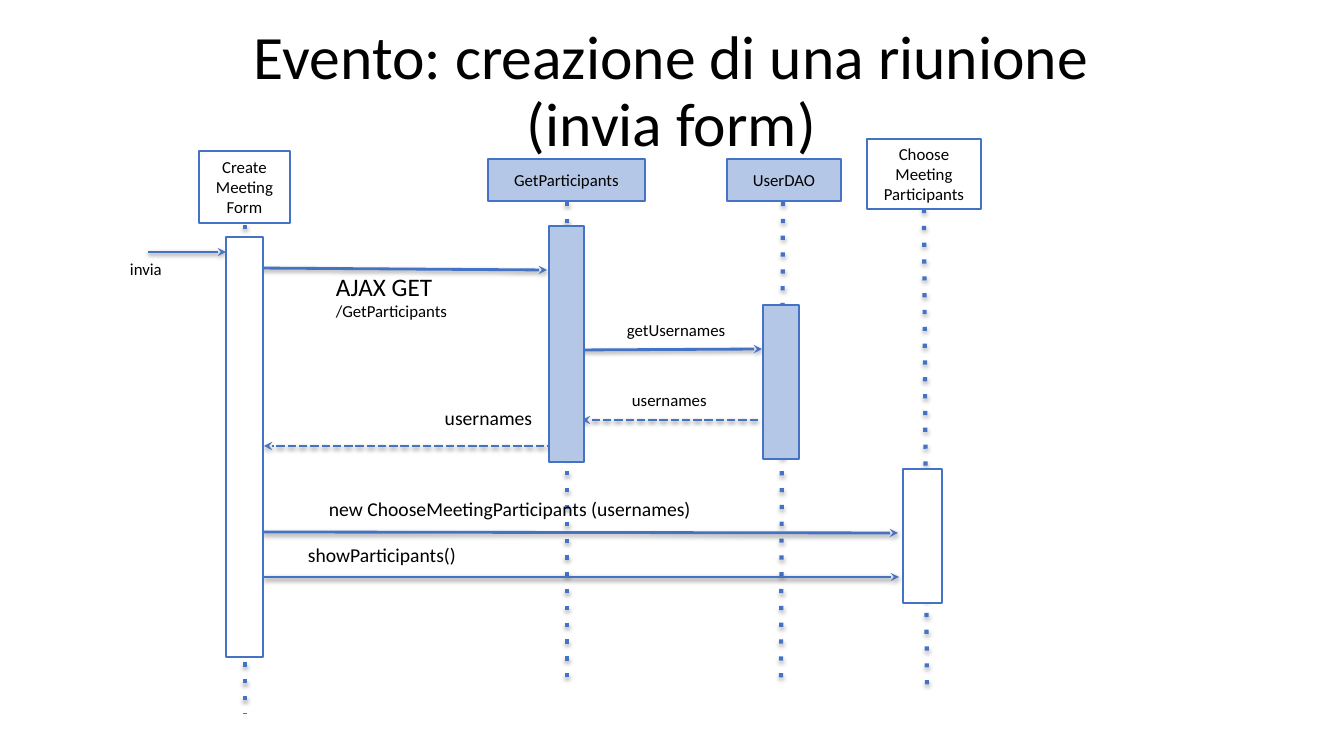
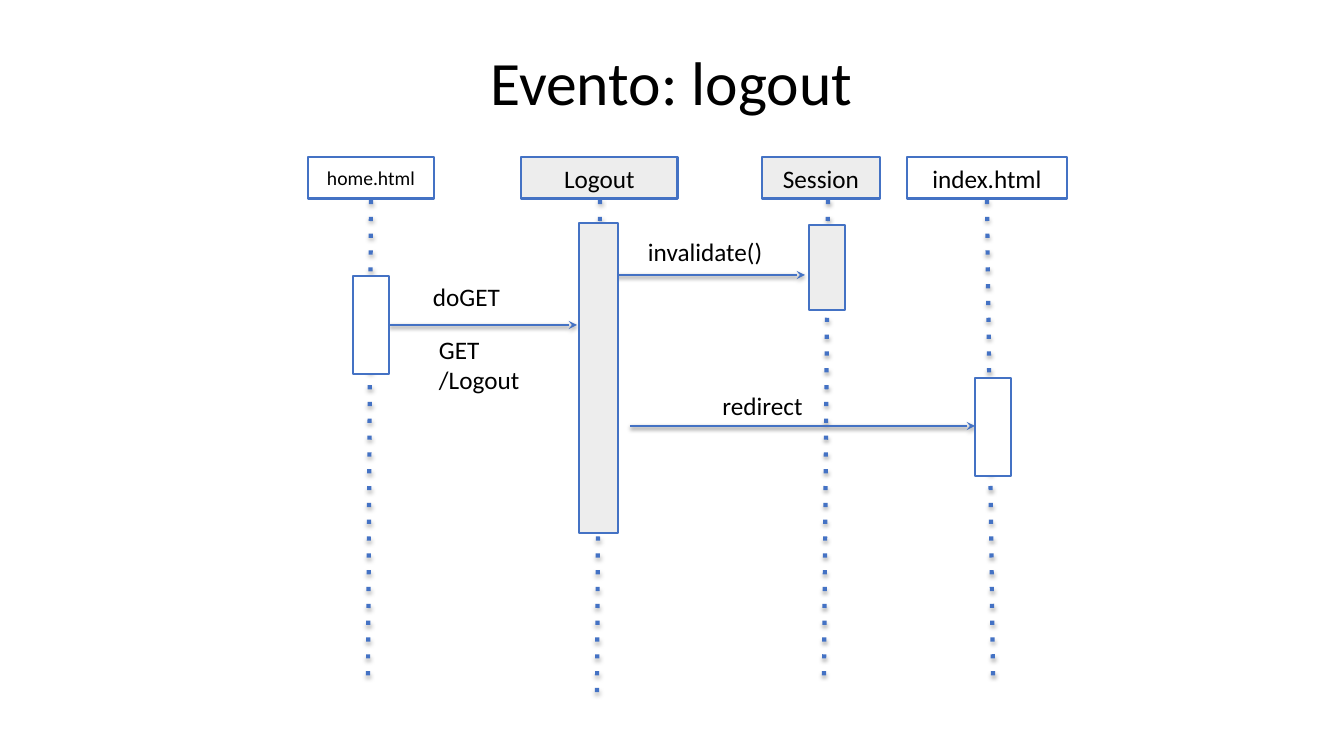
from itertools import cycle

from lxml import etree
from pptx import Presentation
from pptx.dml.color import RGBColor
from pptx.enum.shapes import MSO_CONNECTOR, MSO_SHAPE
from pptx.enum.text import MSO_ANCHOR, MSO_AUTO_SIZE, PP_ALIGN
from pptx.oxml.ns import qn
from pptx.util import Pt

RECTANGLE = MSO_SHAPE.RECTANGLE
STRAIGHT = MSO_CONNECTOR.STRAIGHT
MIDDLE, TOP = MSO_ANCHOR.MIDDLE, MSO_ANCHOR.TOP
LEFT, CENTER = PP_ALIGN.LEFT, PP_ALIGN.CENTER
NO_AUTOFIT = MSO_AUTO_SIZE.NONE

PIXEL = 914400 / 100.8
FONT = "Calibri"
BLACK, WHITE, BLUE = "000000", "FFFFFF", "4472C4"
LIGHT_BLUE, LIGHT_GRAY = "B4C7E7", "EDEDED"

# kind: (width, dash, has arrowhead, shadow opacity %, shadow distance)
LINE_STYLES = {
    "lifeline": (3, "dot", False, 35, 1.8),
    "call": (2, "solid", True, 38, 1.6),
    "reply": (2, "sysDash", True, 38, 1.6),
}


def color(value):
    """Turn a hex string into a colour."""
    return RGBColor.from_string(value)


def write_lines(frame, text, sizes, align, anchor):
    """Write one paragraph per line, taking the sizes in turn."""
    frame.word_wrap = True
    frame.auto_size = NO_AUTOFIT
    frame.vertical_anchor = anchor
    frame.margin_left = frame.margin_right = round(12 * PIXEL)
    frame.margin_top = frame.margin_bottom = round(6 * PIXEL)
    frame.text = text
    for para, size in zip(frame.paragraphs, cycle(sizes)):
        para.alignment = align
        para.font.name = FONT
        para.font.size = Pt(size)
        para.font.color.rgb = color(BLACK)


# Lines: kind, start x, start y, end x, end y
# Boxes: left, top, width, height, fill, text, size (bars have no text)
# Labels: left, top, width, height, text, sizes, alignment
DIAGRAMS = [
    {
        "title": "Evento: creazione di una riunione (invia form)",
        "title_height": 126,
        "lines": [
            ("lifeline", 245, 225, 245, 713),
            ("lifeline", 567, 202, 567, 680),
            ("lifeline", 783, 202, 781, 680),
            ("lifeline", 924, 209, 927, 691),
            ("call", 148, 252, 226, 252),
            ("call", 256, 268, 547, 270),
            ("call", 578, 350, 762, 349),
            ("reply", 758, 420, 582, 420),
            ("reply", 578, 446, 264, 446),
            ("call", 263, 532, 898, 533),
            ("call", 264, 577, 899, 577),
        ],
        "boxes": [
            (199, 151, 91, 72, WHITE, "Create\nMeeting\nForm", 12),
            (488, 159, 157, 42, LIGHT_BLUE, "GetParticipants", 12),
            (727, 159, 114, 42, LIGHT_BLUE, "UserDAO", 12),
            (867, 139, 114, 70, WHITE, "Choose\nMeeting\nParticipants", 12),
            (226, 237, 37, 420, WHITE, "", 12),
            (549, 226, 35, 236, LIGHT_BLUE, "", 12),
            (763, 305, 36, 154, LIGHT_BLUE, "", 12),
            (903, 469, 39, 134, WHITE, "", 12),
        ],
        "labels": [
            (118, 253, 62, 35, "invia", [12], LEFT),
            (324, 265, 172, 67, "AJAX GET\n/GetParticipants", [18, 12], LEFT),
            (615, 314, 125, 35, "getUsernames", [12], LEFT),
            (620, 384, 125, 35, "usernames", [12], LEFT),
            (429, 400, 119, 37, "usernames", [14], CENTER),
            (281, 491, 458, 37, "new ChooseMeetingParticipants (usernames)",
             [14], CENTER),
            (281, 537, 202, 37, "showParticipants()", [14], CENTER),
        ],
    },
    {
        "title": "Evento: logout",
        "title_height": 111,
        "lines": [
            ("lifeline", 371, 200, 368, 678),
            ("lifeline", 600, 200, 597, 695),
            ("lifeline", 828, 200, 824, 678),
            ("lifeline", 987, 200, 993, 678),
            ("call", 389, 325, 577, 325),
            ("call", 615, 275, 805, 275),
            ("call", 630, 426, 975, 426),
        ],
        "boxes": [
            (308, 157, 126, 42, WHITE, "home.html", 14),
            (521, 157, 157, 42, LIGHT_GRAY, "Logout", 18),
            (762, 157, 118, 42, LIGHT_GRAY, "Session", 18),
            (907, 157, 160, 42, WHITE, "index.html", 18),
            (353, 276, 36, 98, WHITE, "", 18),
            (579, 223, 39, 310, LIGHT_GRAY, "", 18),
            (809, 225, 36, 85, LIGHT_GRAY, "", 18),
            (975, 378, 36, 98, WHITE, "", 18),
        ],
        "labels": [
            (421, 275, 125, 40, "doGET", [18], LEFT),
            (427, 328, 138, 76, "GET\n/Logout", [18], LEFT),
            (636, 230, 192, 34, "invalidate()", [18], LEFT),
            (636, 384, 253, 37, "redirect", [18], CENTER),
        ],
    },
]

deck = Presentation()
deck.slide_width = round(1344 * PIXEL)
deck.slide_height = round(756 * PIXEL)
title_only = deck.slide_layouts[5]

for diagram in DIAGRAMS:
    page = deck.slides.add_slide(title_only)
    title = page.shapes.title
    title.left, title.top = round(180 * PIXEL), round(30 * PIXEL)
    title.width = round(983 * PIXEL)
    title.height = round(diagram["title_height"] * PIXEL)
    write_lines(title.text_frame, diagram["title"], [44], CENTER, MIDDLE)
    title.text_frame.paragraphs[0].line_spacing = 0.9

    for kind, *ends in diagram["lines"]:
        width, dash, has_head, opacity, distance = LINE_STYLES[kind]
        line = page.shapes.add_connector(
            STRAIGHT, *[round(value * PIXEL) for value in ends])
        line.line.color.rgb = color(BLUE)
        line.line.width = Pt(width)
        properties = line._element.spPr
        outline = properties.find(qn("a:ln"))
        etree.SubElement(outline, qn("a:prstDash"), val=dash)
        if has_head:
            etree.SubElement(outline, qn("a:tailEnd"), type="stealth")
        effects = etree.SubElement(properties, qn("a:effectLst"))
        shadow = etree.SubElement(
            effects, qn("a:outerShdw"), blurRad=str(Pt(3.1)),
            dist=str(Pt(distance)), dir="5400000", rotWithShape="0")
        shade = etree.SubElement(shadow, qn("a:srgbClr"), val=BLACK)
        etree.SubElement(shade, qn("a:alpha"), val=str(opacity * 1000))

    for *area, fill, text, size in diagram["boxes"]:
        box = page.shapes.add_shape(
            RECTANGLE, *[round(value * PIXEL) for value in area])
        box.shadow.inherit = False
        box.fill.solid()
        box.fill.fore_color.rgb = color(fill)
        box.line.color.rgb = color(BLUE)
        box.line.width = Pt(2)
        if text:
            write_lines(box.text_frame, text, [size], CENTER, MIDDLE)

    for *area, text, sizes, align in diagram["labels"]:
        label = page.shapes.add_textbox(
            *[round(value * PIXEL) for value in area])
        write_lines(label.text_frame, text, sizes, align, TOP)

deck.save("out.pptx")
